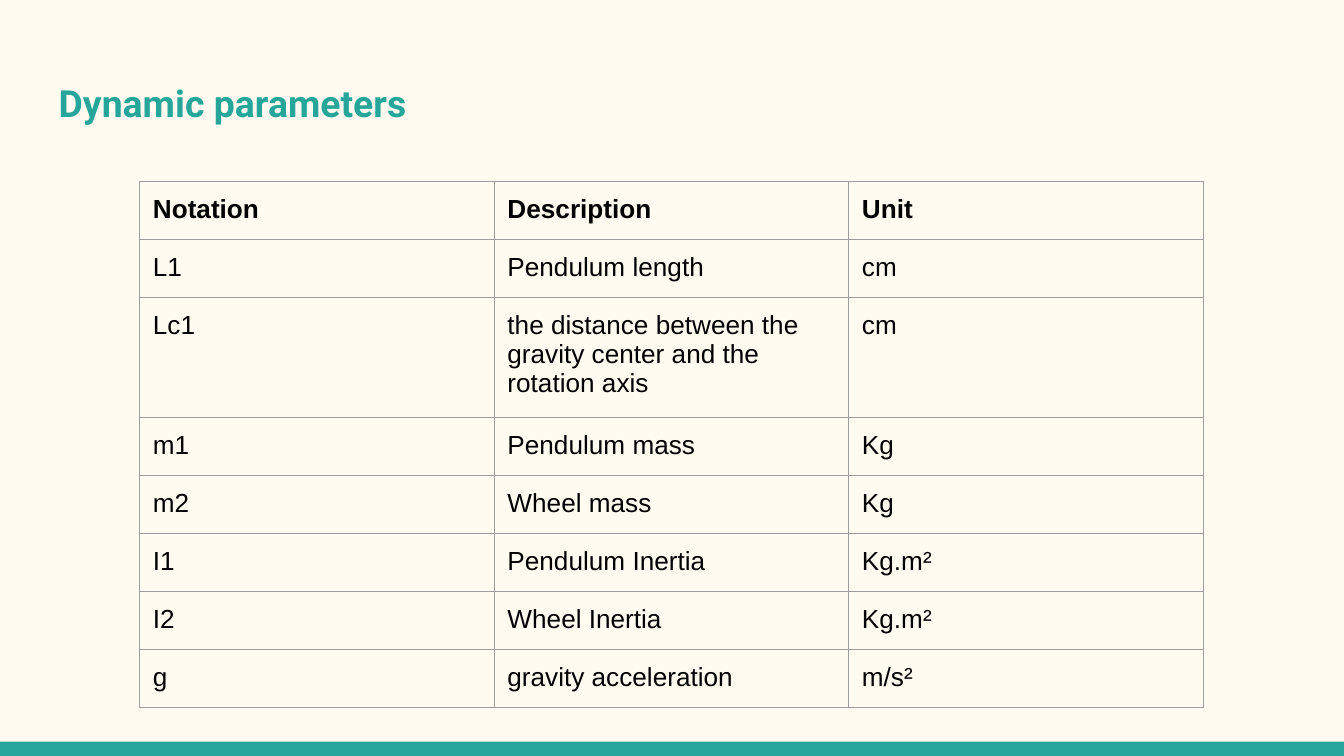
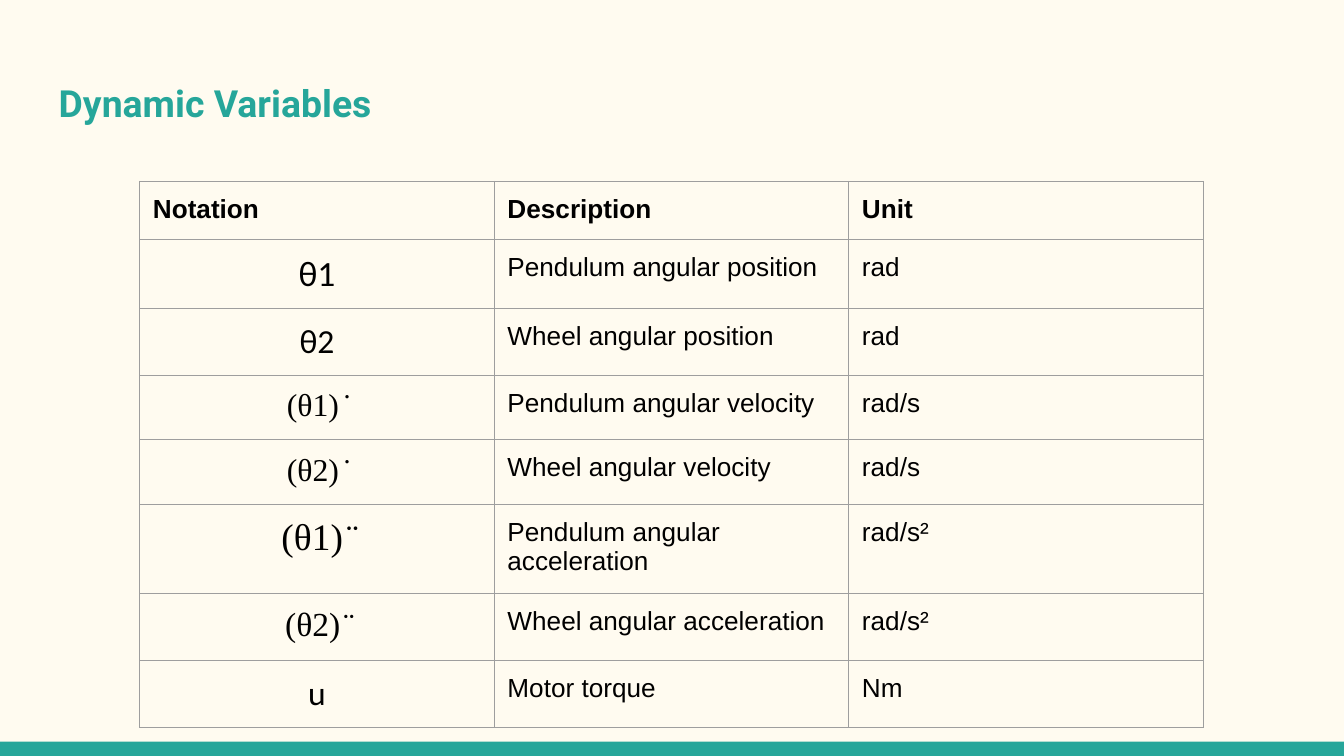
import pptx
import pptx.dml.color
import pptx.enum.shapes
import pptx.enum.text
import pptx.oxml.ns
import pptx.util
from lxml import etree

Cm = pptx.util.Cm
Pt = pptx.util.Pt

SLIDE_WIDTH, SLIDE_HEIGHT = Cm(25.4), Cm(14.29)
CREAM, TEAL, GREY, BLACK = "FFFBF0", "26A69A", "9E9E9E", "000000"
INSET = Cm(0.25)
BAND_HEIGHT = Cm(0.27)
TITLE_BOX = (Cm(0.86), Cm(1.26), Cm(23.67), Cm(1.32))
TABLE_LEFT, TABLE_TOP = Cm(2.64), Cm(3.43)
COLUMN_WIDTH, ROW_HEIGHT = Cm(6.7), Cm(1.06)
BODY_FONT, BODY_SIZE = "Arial", 14

HEADINGS = ("Notation", "Description", "Unit")
PARAMETERS = [
    ("L1", "Pendulum length", "cm"),
    ("Lc1", "the distance between the gravity center and the rotation axis", "cm"),
    ("m1", "Pendulum mass", "Kg"),
    ("m2", "Wheel mass", "Kg"),
    ("I1", "Pendulum Inertia", "Kg.m²"),
    ("I2", "Wheel Inertia", "Kg.m²"),
    ("g", "gravity acceleration", "m/s²"),
]
VARIABLES = [
    ("θ1", "Pendulum angular position", "rad"),
    ("θ2", "Wheel angular position", "rad"),
    ("(θ1) ̇", "Pendulum angular velocity", "rad/s"),
    ("(θ2) ̇", "Wheel angular velocity", "rad/s"),
    ("(θ1) ̈", "Pendulum angular acceleration", "rad/s²"),
    ("(θ2) ̈", "Wheel angular acceleration", "rad/s²"),
    ("u", "Motor torque", "Nm"),
]
VARIABLE_FONTS = [
    ("Calibri", 19),
    ("Calibri", 18),
    ("Times New Roman", 17),
    ("Times New Roman", 17),
    ("Times New Roman", 20),
    ("Times New Roman", 18),
    ("Calibri", 18),
]


def color(hex_string):
    return pptx.dml.color.RGBColor.from_string(hex_string)


def format_text(paragraph, font_name, size, text_color, bold=False):
    for run in paragraph.runs:
        run.font.name = font_name
        run.font.size = Pt(size)
        run.font.bold = bold
        run.font.color.rgb = color(text_color)


def set_insets(target):
    """Apply the common inset to a text frame or table cell."""
    target.margin_left = target.margin_right = INSET
    target.margin_top = target.margin_bottom = INSET


def add_borders(cell):
    properties = cell._tc.get_or_add_tcPr()
    name = pptx.oxml.ns.qn
    for side in ("a:lnL", "a:lnR", "a:lnT", "a:lnB"):
        line = etree.SubElement(properties, name(side), w=str(Pt(0.75)))
        fill = etree.SubElement(line, name("a:solidFill"))
        etree.SubElement(fill, name("a:srgbClr"), val=GREY)


def add_band(slide, top, height):
    band = slide.shapes.add_shape(
        pptx.enum.shapes.MSO_SHAPE.RECTANGLE, 0, top, SLIDE_WIDTH, height)
    band.shadow.inherit = False
    band.fill.solid()
    band.fill.fore_color.rgb = color(TEAL)
    band.line.fill.background()


def add_title(slide, title, box):
    text_frame = slide.shapes.add_textbox(*box).text_frame
    text_frame.word_wrap = True
    set_insets(text_frame)
    text_frame.text = title
    format_text(text_frame.paragraphs[0], "Roboto", 20, TEAL, bold=True)


def add_notation_table(slide, rows, left, top, notation_fonts=None):
    """Add the table; notation_fonts centres and restyles the first column."""
    rows = [HEADINGS, *rows]
    table = slide.shapes.add_table(
        len(rows), len(HEADINGS), left, top,
        COLUMN_WIDTH * len(HEADINGS), ROW_HEIGHT * len(rows)).table
    table.first_row = table.horz_banding = False
    for column in table.columns:
        column.width = COLUMN_WIDTH
    for row_index, row in enumerate(rows):
        table.rows[row_index].height = ROW_HEIGHT
        for column_index, text in enumerate(row):
            cell = table.cell(row_index, column_index)
            add_borders(cell)
            cell.fill.background()
            set_insets(cell)
            cell.text_frame.text = text
            paragraph = cell.text_frame.paragraphs[0]
            font_name, size = BODY_FONT, BODY_SIZE
            if notation_fonts and row_index > 0 and column_index == 0:
                font_name, size = notation_fonts[row_index - 1]
                paragraph.alignment = pptx.enum.text.PP_ALIGN.CENTER
            format_text(paragraph, font_name, size, BLACK, bold=row_index == 0)


def add_table_slide(presentation, title, rows, notation_fonts=None):
    slide = presentation.slides.add_slide(presentation.slide_layouts[6])
    slide.background.fill.solid()
    slide.background.fill.fore_color.rgb = color(CREAM)
    add_band(slide, SLIDE_HEIGHT - BAND_HEIGHT, BAND_HEIGHT)
    add_title(slide, title, TITLE_BOX)
    add_notation_table(slide, rows, TABLE_LEFT, TABLE_TOP, notation_fonts)


def main():
    presentation = pptx.Presentation()
    presentation.slide_width = SLIDE_WIDTH
    presentation.slide_height = SLIDE_HEIGHT
    add_table_slide(presentation, "Dynamic parameters", PARAMETERS)
    add_table_slide(presentation, "Dynamic Variables", VARIABLES, VARIABLE_FONTS)
    presentation.save("out.pptx")


if __name__ == "__main__":
    main()
